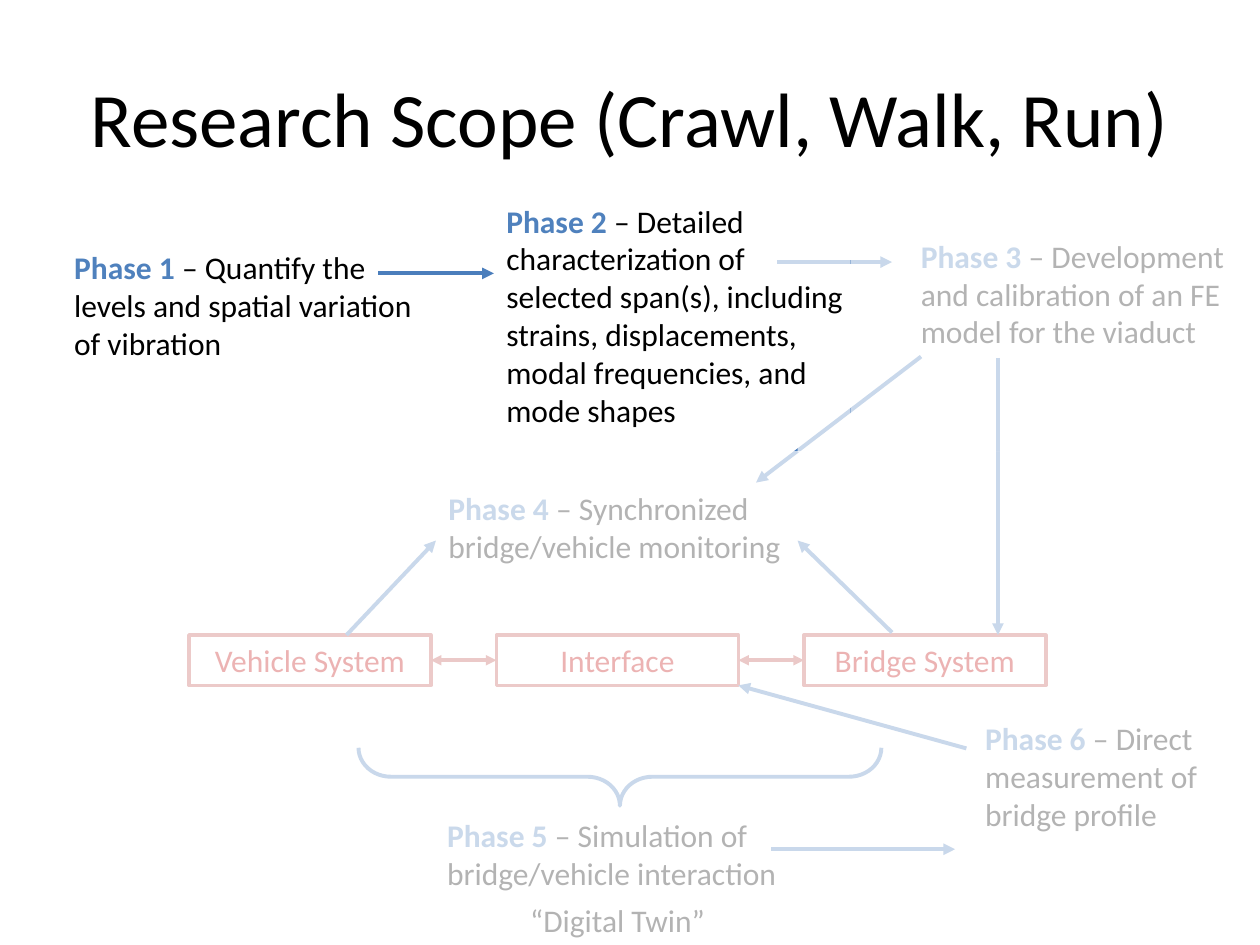
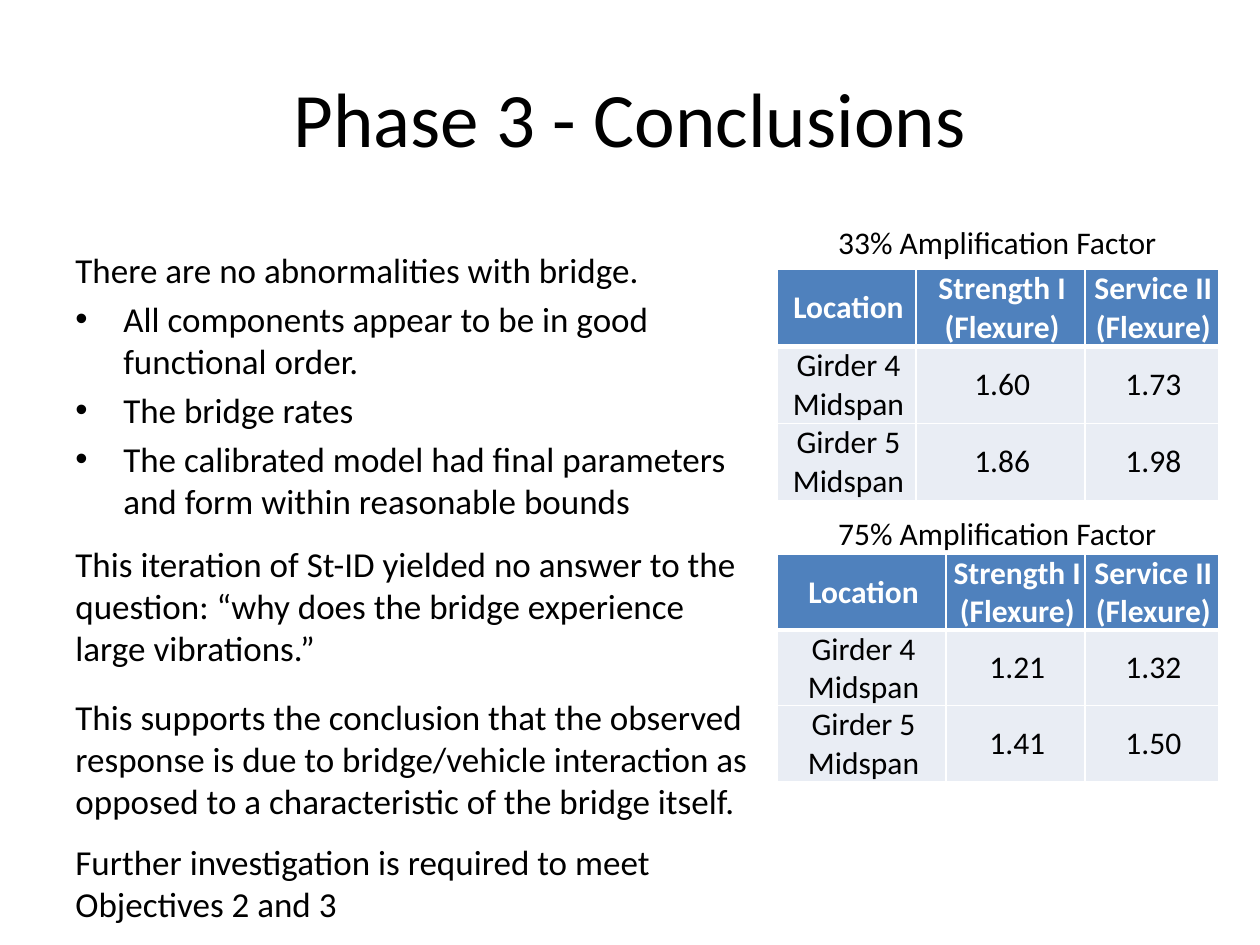
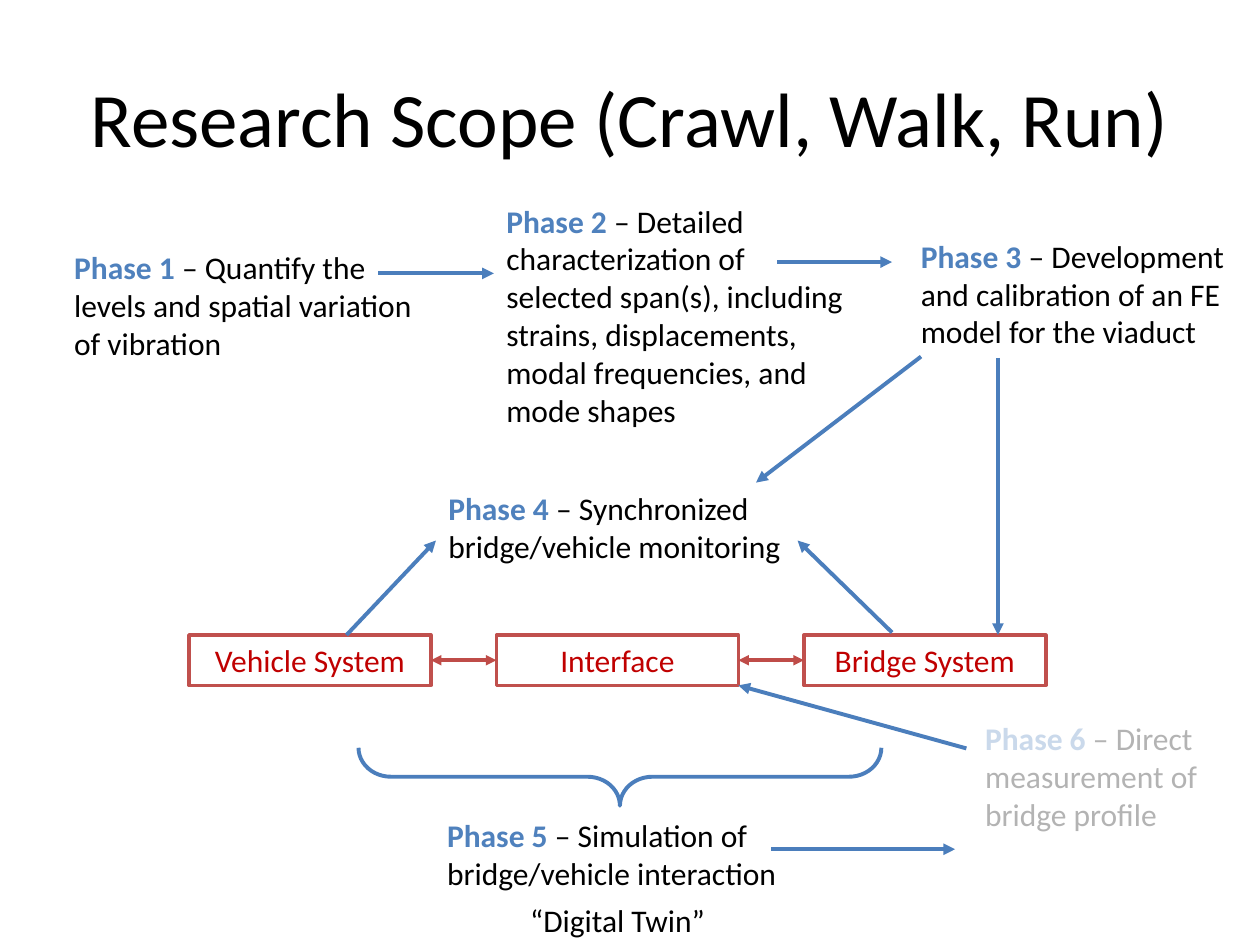
import dataclasses

import lxml.etree
import pptx
import pptx.dml.color
import pptx.enum.shapes
import pptx.enum.text
import pptx.oxml.ns
import pptx.util

Pt = pptx.util.Pt
qn = pptx.oxml.ns.qn
RGBColor = pptx.dml.color.RGBColor
ShapeType = pptx.enum.shapes.MSO_SHAPE
Align = pptx.enum.text.PP_ALIGN
Anchor = pptx.enum.text.MSO_ANCHOR
AutoSize = pptx.enum.text.MSO_AUTO_SIZE


@dataclasses.dataclass(frozen=True)
class Theme:
    font: str = "Calibri"
    black: str = "000000"
    white: str = "FFFFFF"
    blue: str = "4F81BD"
    blue_line: str = "4B7EBC"
    red_text: str = "C00000"
    red_border: str = "C0504D"
    red_line: str = "BF4C48"
    table_row: str = "E9EDF4"
    title_size: float = 44
    body_size: float = 20
    label_size: float = 18
    blue_width: float = 2.25
    red_width: float = 2
    veil_opacity: int = 70


THEME = Theme()
SLIDE_SIZE = (720, 540)
TITLE_BOX = (36, 21.6, 648, 90)

SCOPE_TITLE = "Research Scope (Crawl, Walk, Run)"
PHASES = [
    ("Phase 1", " – Quantify the levels and spatial variation of vibration", (35.28, 138.24, 210.24, 72.72)),
    ("Phase 2", " – Detailed characterization of selected span(s), including strains, displacements, "
                "modal frequencies, and mode shapes", (282.24, 111.6, 210.24, 138.24)),
    ("Phase 3", " – Development and calibration of an FE model for the viaduct", (519.12, 131.76, 210.24, 72.72)),
    ("Phase 4", " – Synchronized bridge/vehicle monitoring", (249.12, 275.76, 210.24, 51.12)),
    ("Phase 5", " – Simulation of bridge/vehicle interaction", (248.4, 462.96, 210.24, 51.12)),
    ("Phase 6", " – Direct measurement of bridge profile", (555.84, 407.52, 174.24, 72.72)),
]
TWIN_LABEL = "“Digital Twin”"
TWIN_BOX = (295.92, 511.2, 144, 28.8)
SYSTEMS = ["Vehicle System", "Interface", "Bridge System"]
SYSTEM_BOX = (108, 362.88, 138.24, 28.8)
SYSTEM_PITCH = 175.68
BRACE_BOX = (337.68, 294.48, 33.12, 298.8)
BRACE_CURVE = 0.56
ARROWS = [
    ((216, 156.24), (282.24, 156.24)),
    ((444.24, 149.76), (509.76, 149.76)),
    ((198, 362.88), (249.12, 308.88)),
    ((509.76, 361.44), (455.76, 308.88)),
    ((570.24, 204.48), (570.24, 362.88)),
    ((552.24, 427.68), (421.92, 391.68)),
    ((440.64, 485.28), (545.76, 485.28)),
    ((526.32, 203.76), (432, 275.76)),
]
VEILS_FIRST_PHASES = [
    (0, 257.76, 720, 282.24),
    (486, 100.08, 234, 157.68),
    (455.76, 228.96, 30.24, 29.52),
    (443.52, 125.28, 42.48, 29.52),
]
VEILS_LAST_PHASE = [(562.32, 407.52, 157.68, 132.48)]

CONCLUSIONS_TITLE = "Phase 3 - Conclusions"
CONCLUSIONS_BOX = (36, 138.24, 401.76, 356.4)
BULLET_INDENT = 27.36
CONCLUSIONS = [
    ("There are no abnormalities with bridge.", False, 0),
    ("All components appear to be in good functional order.", True, 4),
    ("The bridge rates", True, 4),
    ("The calibrated model had final parameters and form within reasonable bounds", True, 4),
    ("This iteration of St-ID yielded no answer to the question: “why does the bridge "
     "experience large vibrations.”", False, 12),
    ("This supports the conclusion that the observed response is due to bridge/vehicle "
     "interaction as opposed to a characteristic of the bridge itself.", False, 15.5),
    ("Further investigation is required to meet Objectives 2 and 3", False, 11),
]
TABLE_HEADER = ["Location", "Strength I\n(Flexure)", "Service II\n(Flexure)"]
RATINGS = [
    {
        "caption": "33% Amplification Factor",
        "caption_top": 123.84,
        "top": 154.08,
        "columns": [79.2, 96.48, 76.32],
        "rows": [["Girder 4 Midspan", "1.60", "1.73"], ["Girder 5 Midspan", "1.86", "1.98"]],
    },
    {
        "caption": "75% Amplification Factor",
        "caption_top": 290.16,
        "top": 316.8,
        "columns": [96.48, 79.2, 76.32],
        "rows": [["Girder 4 Midspan", "1.21", "1.32"], ["Girder 5 Midspan", "1.41", "1.50"]],
    },
]
TABLE_LEFT = 444.24
ROW_HEIGHT = 43.2
CAPTION_LEFT, CAPTION_WIDTH, CAPTION_HEIGHT = 452.88, 234, 28.8


def rgb(color):
    return RGBColor.from_string(color)


def points(values):
    return [Pt(value) for value in values]


def write(paragraph, text, size=THEME.label_size, color=THEME.black, bold=False, align=None):
    run = paragraph.add_run()
    run.text = text
    run.font.name = THEME.font
    run.font.size = Pt(size)
    run.font.bold = bold
    run.font.color.rgb = rgb(color)
    if align is not None:
        paragraph.alignment = align


def add_text_box(slide, box, grow=True):
    frame = slide.shapes.add_textbox(*points(box)).text_frame
    frame.word_wrap = True
    frame.auto_size = AutoSize.SHAPE_TO_FIT_TEXT if grow else AutoSize.NONE
    return frame


def add_title_slide(presentation, title):
    slide = presentation.slides.add_slide(presentation.slide_layouts[5])
    shape = slide.shapes.title
    shape.left, shape.top, shape.width, shape.height = points(TITLE_BOX)
    shape.text_frame.vertical_anchor = Anchor.MIDDLE
    write(shape.text_frame.paragraphs[0], title, size=THEME.title_size, align=Align.CENTER)
    return slide


def add_shape(slide, kind, box, fill=None, line=None, width=0):
    shape = slide.shapes.add_shape(kind, *points(box))
    shape.shadow.inherit = False
    if fill:
        shape.fill.solid()
        shape.fill.fore_color.rgb = rgb(fill)
    else:
        shape.fill.background()
    if line:
        shape.line.color.rgb = rgb(line)
        shape.line.width = Pt(width)
    else:
        shape.line.fill.background()
    return shape


def add_arrow(slide, start, end, color, width, both_ends=False):
    connector = slide.shapes.add_connector(
        pptx.enum.shapes.MSO_CONNECTOR.STRAIGHT, *points(start), *points(end))
    connector.line.color.rgb = rgb(color)
    connector.line.width = Pt(width)
    properties = connector._element.spPr
    line = properties.find(qn("a:ln"))
    for tag in ("a:headEnd", "a:tailEnd") if both_ends else ("a:tailEnd",):
        lxml.etree.SubElement(line, qn(tag), type="triangle")
    lxml.etree.SubElement(properties, qn("a:effectLst"))
    return connector


def add_systems(slide):
    left, top, width, height = SYSTEM_BOX
    boxes = []
    for index, name in enumerate(SYSTEMS):
        shape = add_shape(slide, ShapeType.RECTANGLE, (left + index * SYSTEM_PITCH, top, width, height),
                          fill=THEME.white, line=THEME.red_border, width=THEME.red_width)
        shape.text_frame.word_wrap = True
        shape.text_frame.auto_size = AutoSize.SHAPE_TO_FIT_TEXT
        write(shape.text_frame.paragraphs[0], name, color=THEME.red_text, align=Align.CENTER)
        boxes.append(shape)
    for before, after in zip(boxes, boxes[1:]):
        connector = add_arrow(slide, (0, 0), (0, 0), THEME.red_line, THEME.red_width, both_ends=True)
        connector.begin_connect(before, 3)
        connector.end_connect(after, 1)


def add_veil(slide, box):
    veil = add_shape(slide, ShapeType.RECTANGLE, box, fill=THEME.white)
    color = veil._element.spPr.find(qn("a:solidFill"))[0]
    lxml.etree.SubElement(color, qn("a:alpha"), val=str(THEME.veil_opacity * 1000))


def build_scope_slide(presentation, veils):
    slide = add_title_slide(presentation, SCOPE_TITLE)
    for name, description, box in PHASES:
        paragraph = add_text_box(slide, box).paragraphs[0]
        write(paragraph, name, color=THEME.blue, bold=True)
        write(paragraph, description)
    write(add_text_box(slide, TWIN_BOX).paragraphs[0], TWIN_LABEL)
    add_systems(slide)
    brace = add_shape(slide, ShapeType.RIGHT_BRACE, BRACE_BOX, line=THEME.blue_line, width=THEME.blue_width)
    brace.adjustments[0] = BRACE_CURVE
    brace.rotation = 90
    for start, end in ARROWS:
        add_arrow(slide, start, end, THEME.blue_line, THEME.blue_width)
    for box in veils:
        add_veil(slide, box)


def add_conclusions(slide):
    frame = add_text_box(slide, CONCLUSIONS_BOX, grow=False)
    for index, (text, bulleted, space_before) in enumerate(CONCLUSIONS):
        paragraph = frame.add_paragraph() if index else frame.paragraphs[0]
        if bulleted:
            properties = paragraph._p.get_or_add_pPr()
            properties.set("marL", str(Pt(BULLET_INDENT)))
            properties.set("indent", str(-Pt(BULLET_INDENT)))
            lxml.etree.SubElement(properties, qn("a:buFont"), typeface="Arial")
            lxml.etree.SubElement(properties, qn("a:buChar"), char="•")
        paragraph.space_before = Pt(space_before)
        write(paragraph, text, size=THEME.body_size)


def add_cell_borders(cell, widths):
    properties = cell._tc.get_or_add_tcPr()
    for side, width in widths.items():
        line = lxml.etree.SubElement(properties, qn("a:ln" + side), w=str(Pt(width)))
        fill = lxml.etree.SubElement(line, qn("a:solidFill"))
        lxml.etree.SubElement(fill, qn("a:srgbClr"), val=THEME.white)


def format_cell(cell, text, header):
    borders = {"L": 1, "R": 1, "T": 1, "B": 3} if header else {"L": 1, "R": 1, "B": 1}
    add_cell_borders(cell, borders)
    cell.fill.solid()
    cell.fill.fore_color.rgb = rgb(THEME.blue if header else THEME.table_row)
    cell.margin_left = Pt(2)
    cell.margin_right = cell.margin_top = cell.margin_bottom = 0
    cell.vertical_anchor = Anchor.MIDDLE
    frame = cell.text_frame
    for index, line in enumerate(text.split("\n")):
        paragraph = frame.add_paragraph() if index else frame.paragraphs[0]
        write(paragraph, line, color=THEME.white if header else THEME.black, bold=header, align=Align.CENTER)


def add_rating(slide, rating):
    rows = [TABLE_HEADER] + rating["rows"]
    columns = rating["columns"]
    box = (TABLE_LEFT, rating["top"], sum(columns), ROW_HEIGHT * len(rows))
    table = slide.shapes.add_table(len(rows), len(columns), *points(box)).table
    table.horz_banding = False
    for column, width in zip(table.columns, columns):
        column.width = Pt(width)
    for row_index, row in enumerate(rows):
        for column_index, text in enumerate(row):
            format_cell(table.cell(row_index, column_index), text, header=row_index == 0)
    caption = add_text_box(slide, (CAPTION_LEFT, rating["caption_top"], CAPTION_WIDTH, CAPTION_HEIGHT))
    write(caption.paragraphs[0], rating["caption"], align=Align.CENTER)


def build_conclusions_slide(presentation):
    slide = add_title_slide(presentation, CONCLUSIONS_TITLE)
    add_conclusions(slide)
    for rating in RATINGS:
        add_rating(slide, rating)


def main():
    presentation = pptx.Presentation()
    presentation.slide_width, presentation.slide_height = points(SLIDE_SIZE)
    build_scope_slide(presentation, VEILS_FIRST_PHASES)
    build_conclusions_slide(presentation)
    build_scope_slide(presentation, VEILS_LAST_PHASE)
    presentation.save("out.pptx")


if __name__ == "__main__":
    main()
